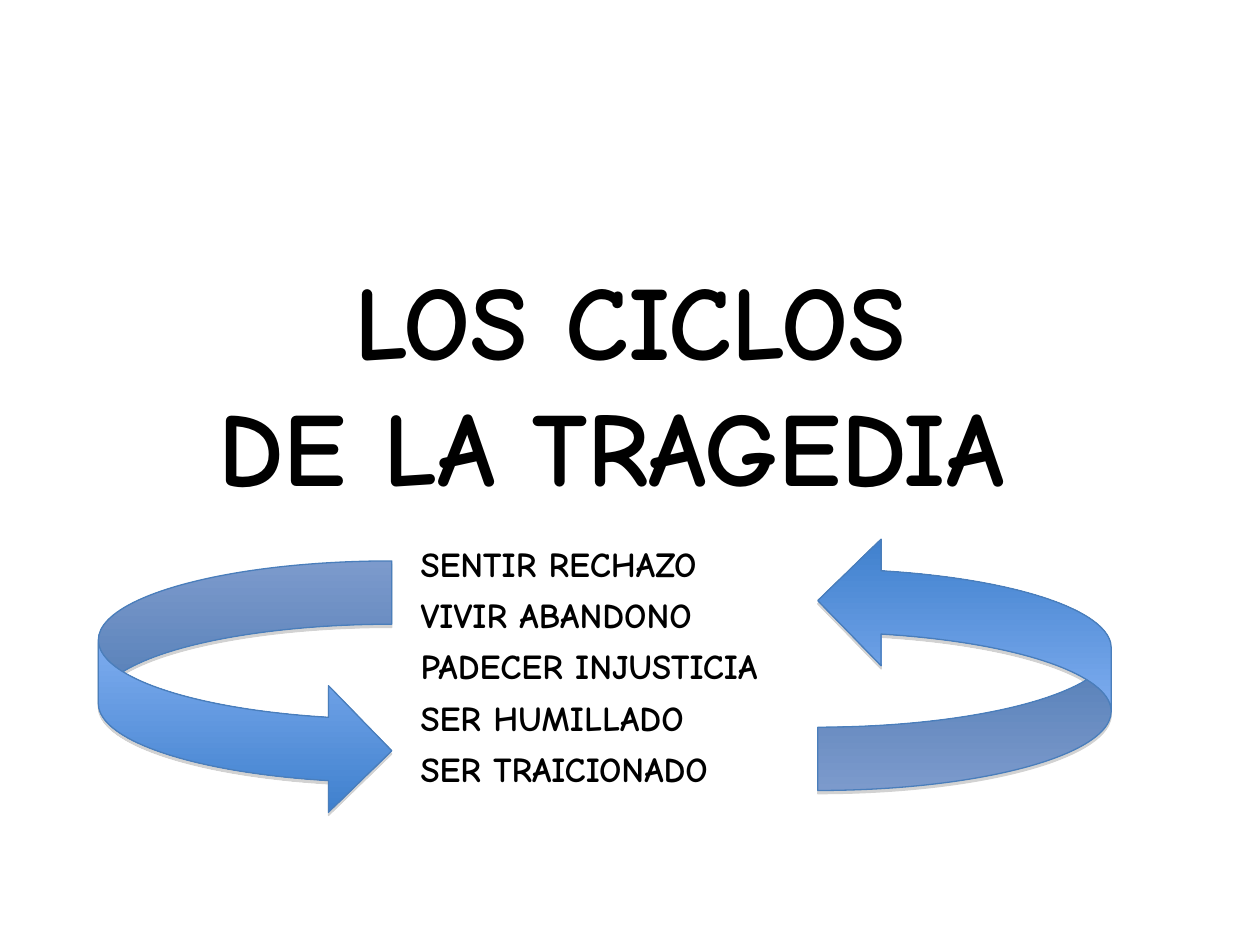
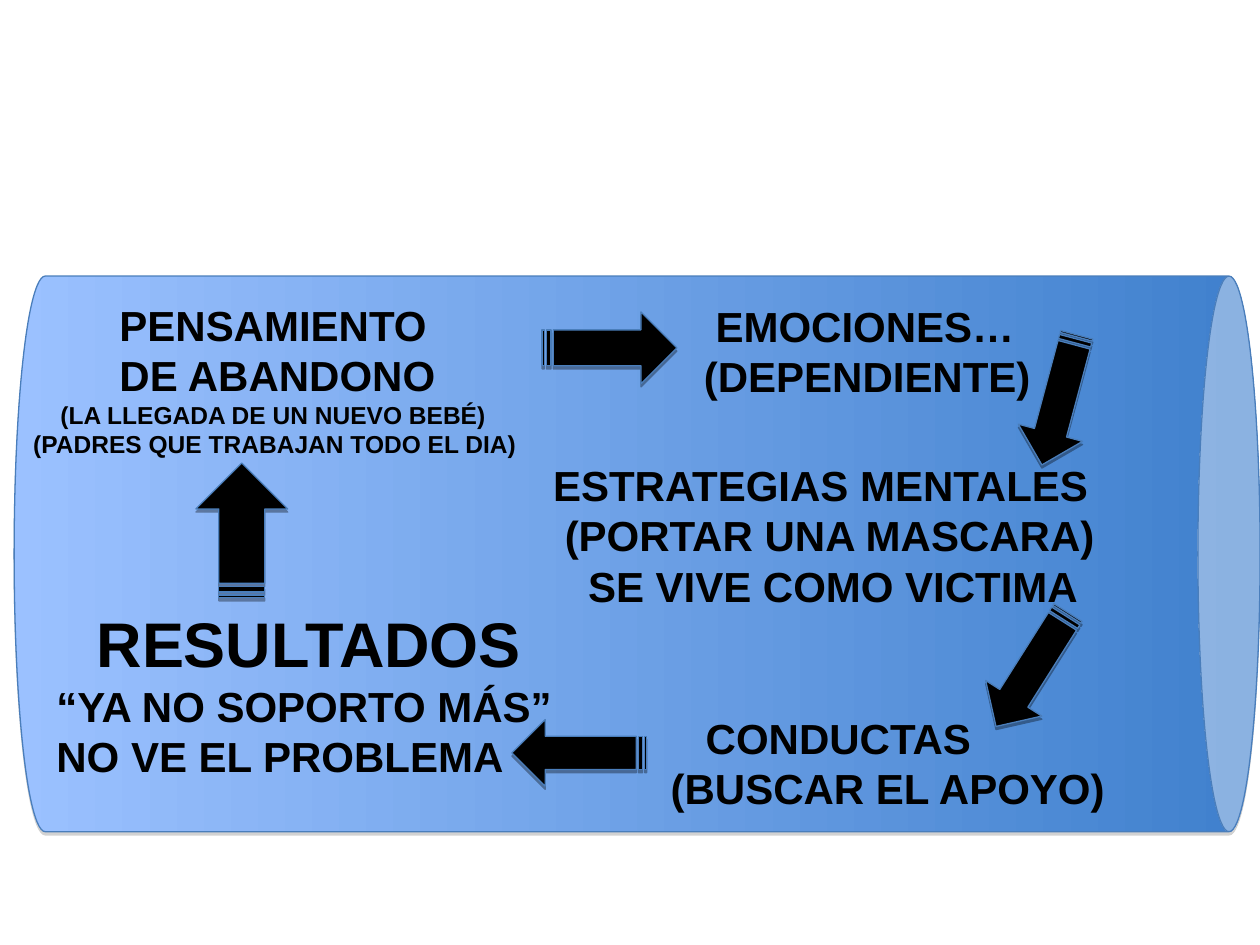
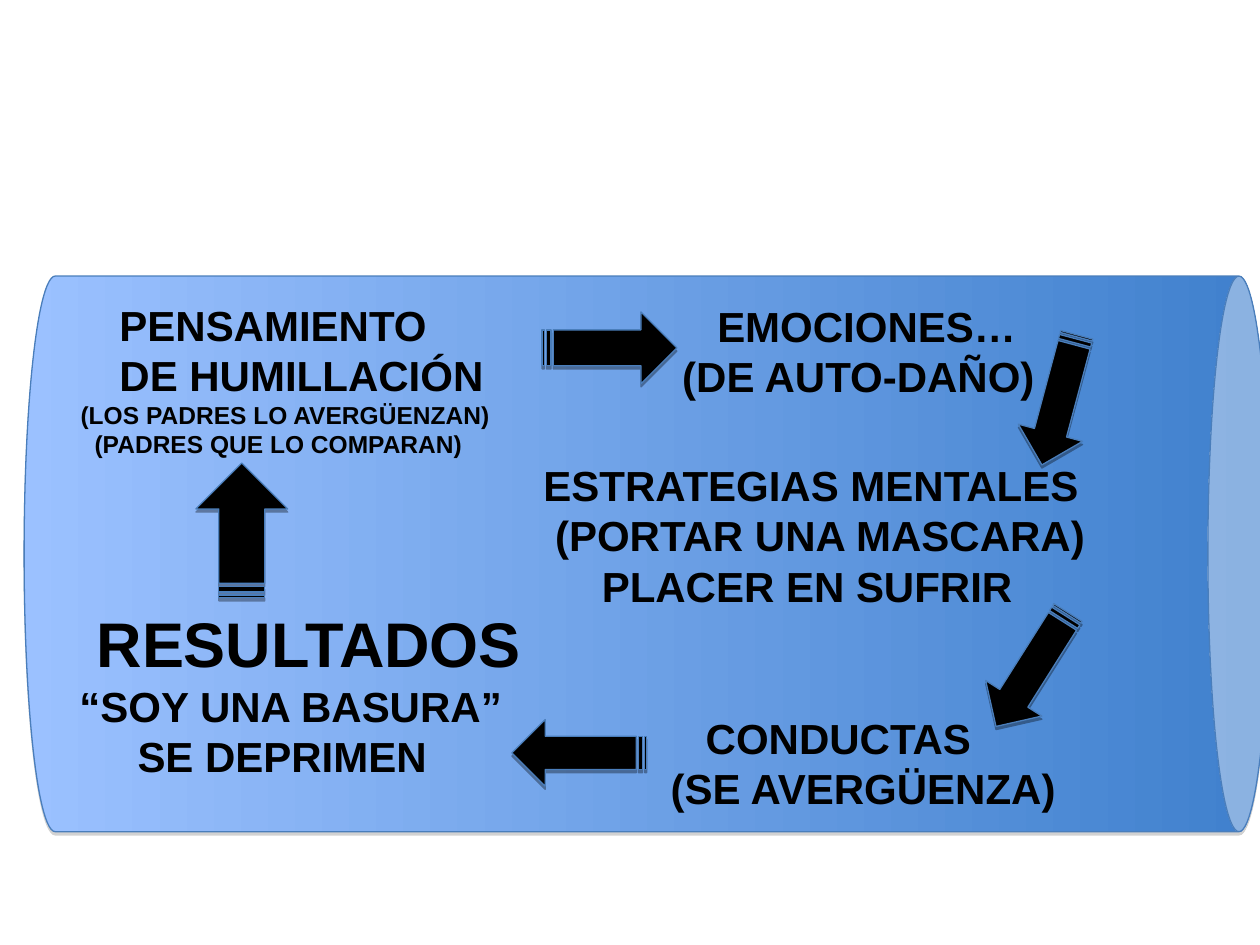
"""Builds three slides on the cycles of tragedy."""
from lxml.etree import SubElement
from pptx import Presentation
from pptx.dml.color import RGBColor
from pptx.enum.shapes import MSO_SHAPE as Preset
from pptx.enum.text import MSO_ANCHOR as Anchor, PP_ALIGN as Align
from pptx.oxml.ns import qn
from pptx.util import Pt

COLORS = {
    "text": "000000",
    "arrow": "000000",
    "light": "9BC1FF",
    "dark": "3F80CD",
    "edge": "4A7EBB",
    "soft_shadow": "808080",
    "hard_shadow": "000000",
}
BODY_FONT = "Arial"
COVER_FONT = "Comic Neue"
FEELINGS = ["SENTIR RECHAZO", "VIVIR ABANDONO", "PADECER INJUSTICIA",
            "SER HUMILLADO", "SER TRAICIONADO"]
STEP_ARROWS = [
    (309.8, 178.3, 77, 41, 0),
    (566.8, 209.5, 77, 38, 105),
    (551.2, 363.6, 77, 38, 122.3),
    (292.5, 411.2, 77, 38, 180),
    (99.7, 276.8, 77, 52.5, 270),
]


def color(name):
    return RGBColor.from_string(COLORS[name])


class Deck:
    def __init__(self):
        self.deck = Presentation()
        self.deck.slide_width, self.deck.slide_height = Pt(720), Pt(540)
        self.slide = None

    def new_slide(self):
        self.slide = self.deck.slides.add_slide(self.deck.slide_layouts[6])

    def text(self, box, lines, font=BODY_FONT, align=Align.LEFT, anchor=Anchor.TOP):
        frame = self.slide.shapes.add_textbox(*map(Pt, box)).text_frame
        frame.word_wrap = True
        frame.vertical_anchor = anchor
        for number, (words, size, indent) in enumerate(lines):
            paragraph = frame.add_paragraph() if number else frame.paragraphs[0]
            paragraph.text = words
            paragraph.alignment = align
            if indent:
                paragraph._p.get_or_add_pPr().set("marL", str(Pt(indent)))
            paragraph.font.name = font
            paragraph.font.size = Pt(size)
            paragraph.font.bold = True
            paragraph.font.color.rgb = color("text")

    def shape(self, preset, box, rotation, shadow):
        shape = self.slide.shapes.add_shape(preset, *map(Pt, box))
        shape.rotation = rotation
        shape.line.color.rgb = color("edge")
        shape.line.width = Pt(0.75)
        shape.shadow.inherit = False
        effects = shape._element.spPr.find(qn("a:effectLst"))
        outer = SubElement(effects, qn("a:outerShdw"), blurRad="0", dist=str(Pt(1.8)),
                           dir="5400000", rotWithShape="0")
        tint = SubElement(outer, qn("a:srgbClr"), val=COLORS[shadow])
        SubElement(tint, qn("a:alpha"), val="35000")
        return shape

    def gradient_shape(self, preset, box, rotation, angle):
        shape = self.shape(preset, box, rotation, "soft_shadow")
        shape.fill.gradient()
        shape.fill.gradient_angle = angle
        for stop, name in zip(shape.fill.gradient_stops, ("light", "dark")):
            stop.color.rgb = color(name)
        return shape

    def step_arrow(self, left, top, width, height, rotation):
        arrow = self.shape(Preset.STRIPED_RIGHT_ARROW, (left, top, width, height),
                           rotation, "hard_shadow")
        arrow.fill.solid()
        arrow.fill.fore_color.rgb = color("arrow")

    def cover(self):
        self.new_slide()
        self.text((0, 121, 720, 194), [("LOS CICLOS", 60, 0), ("DE LA TRAGEDIA ", 60, 0)],
                  COVER_FONT, Align.CENTER, Anchor.MIDDLE)
        for left, top, rotation in ((56.2, 320.5, 0), (467.3, 307, 180)):
            self.gradient_shape(Preset.CURVED_RIGHT_ARROW, (left, top, 167.7, 144.7),
                                rotation, 270)
        for row, feeling in enumerate(FEELINGS):
            self.text((233.2, 306.2 + 29.4 * row, 245, 32), [(feeling, 20, 0)], COVER_FONT)

    def cycle(self, tube_left, thought, causes, emotion, strategy, conduct, results):
        self.new_slide()
        tube = self.gradient_shape(Preset.CAN, (tube_left, -39.5, 317.5, 712), 90, 90)
        tube.adjustments[0] = 0.112
        self.text((8, 167.4, 316, 99), [
            ("PENSAMIENTO", 24, 53.2), (thought, 24, 53.2),
            *((cause, 14, indent) for cause, indent in causes)])
        emotion_left, heading_indent, feeling, feeling_indent = emotion
        self.text((emotion_left, 168, 618.5 - emotion_left, 65), [
            ("EMOCIONES…", 24, heading_indent), (feeling, 24, feeling_indent)])
        strategy_left, mask, mask_indent = strategy
        self.text((strategy_left, 259, 330, 94), [
            ("ESTRATEGIAS MENTALES", 24, 0), ("(PORTAR UNA MASCARA)", 24, 6.67),
            (mask, 24, mask_indent)])
        self.text((369.5, 403.5, 350.5, 94), [("CONDUCTAS", 24, 26.7), (conduct, 24, 6.67)])
        self.text((18.5, 342, 376.5, 165.5), [
            ("RESULTADOS", 36, 29.6), *((result, 24, indent) for result, indent in results)])
        for arrow in STEP_ARROWS:
            self.step_arrow(*arrow)


def main():
    deck = Deck()
    deck.cover()
    deck.cycle(
        tube_left=205.3,
        thought="DE ABANDONO",
        causes=[("(LA LLEGADA DE UN NUEVO BEBÉ)", 19.5),
                ("(PADRES QUE TRABAJAN TODO EL DIA)", 3.9)],
        emotion=(395.2, 6.67, "(DEPENDIENTE)", 0),
        strategy=(309, "SE VIVE COMO VICTIMA", 20),
        conduct="(BUSCAR EL APOYO)",
        results=[("“YA NO SOPORTO MÁS”", 6.67), ("NO VE EL PROBLEMA", 6.67)],
    )
    deck.cycle(
        tube_left=211,
        thought="DE HUMILLACIÓN",
        causes=[("(LOS PADRES LO AVERGÜENZAN)", 31), ("(PADRES QUE LO COMPARAN)", 39)],
        emotion=(369.5, 33.3, "(DE AUTO-DAÑO)", 13.3),
        strategy=(303.5, "PLACER EN SUFRIR", 33.3),
        conduct="(SE AVERGÜENZA)",
        results=[("“SOY UNA BASURA”", 19.8), ("SE DEPRIMEN", 53)],
    )
    deck.deck.save("out.pptx")


if __name__ == "__main__":
    main()
